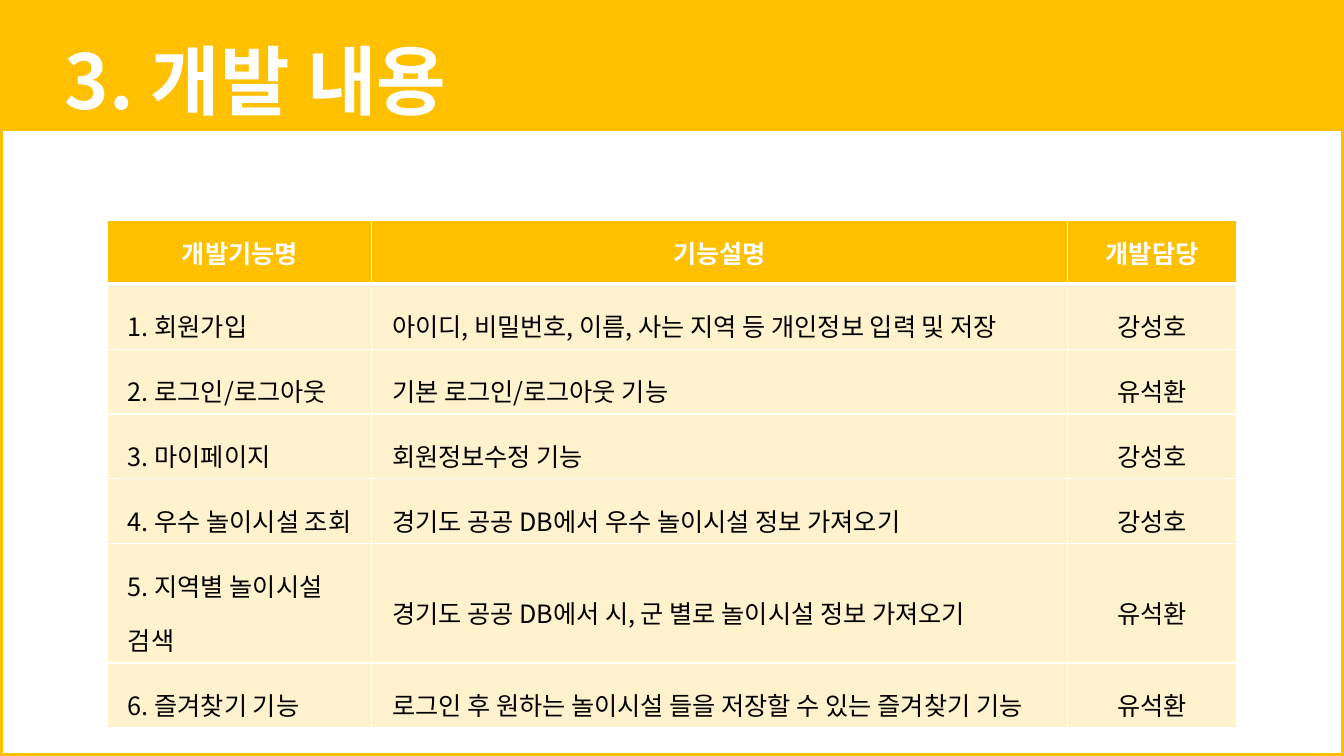
from pptx import Presentation
from pptx.dml.color import RGBColor
from pptx.enum.shapes import MSO_SHAPE
from pptx.enum.text import MSO_ANCHOR, MSO_AUTO_SIZE, PP_ALIGN
from pptx.oxml import parse_xml
from pptx.oxml.ns import nsdecls
from pptx.util import Pt

FONT = "Noto Sans CJK KR"
AMBER, CREAM, WHITE, BLACK = "FFC000", "FFF2CC", "FFFFFF", "000000"
WIDTH, HEIGHT = 960, 540
COLUMNS = [188.64, 496.8, 120.96]
ROW_HEIGHT = 45.4

FEATURES = [
    ("개발기능명", "기능설명", "개발담당"),
    ("1. 회원가입", "아이디, 비밀번호, 이름, 사는 지역 등 개인정보 입력 및 저장", "강성호"),
    ("2. 로그인/로그아웃", "기본 로그인/로그아웃 기능", "유석환"),
    ("3. 마이페이지", "회원정보수정 기능", "강성호"),
    ("4. 우수 놀이시설 조회", "경기도 공공 DB에서 우수 놀이시설 정보 가져오기", "강성호"),
    ("5. 지역별 놀이시설 검색", "경기도 공공 DB에서 시, 군 별로 놀이시설 정보 가져오기", "유석환"),
    ("6. 즐겨찾기 기능", "로그인 후 원하는 놀이시설 들을 저장할 수 있는 즐겨찾기 기능", "유석환"),
]


def color(value):
    return RGBColor.from_string(value)


def apply(target, formats):
    for name, value in formats.items():
        setattr(target, name, value)


def write(paragraph, text, size, ink, bold, **formats):
    apply(paragraph, formats)
    run = paragraph.add_run()
    run.text = text
    apply(run.font, {"name": FONT, "size": Pt(size), "bold": bold})
    run.font.color.rgb = color(ink)
    # Korean glyphs take the East Asian typeface
    run.font._element.append(parse_xml(f'<a:ea {nsdecls("a")} typeface="{FONT}"/>'))


def add_rectangle(slide, left, top, width, height):
    rectangle = slide.shapes.add_shape(
        MSO_SHAPE.RECTANGLE, Pt(left), Pt(top), Pt(width), Pt(height))
    rectangle.shadow.inherit = False
    return rectangle


def add_frame(slide, left, top, width, height):
    frame = add_rectangle(slide, left, top, width, height)
    frame.fill.background()
    frame.line.color.rgb = color(AMBER)
    frame.line.width = Pt(4.5)


def add_heading(slide, left, top, width, height):
    band = add_rectangle(slide, left, top, width, height)
    band.fill.solid()
    band.fill.fore_color.rgb = color(AMBER)
    band.line.fill.background()

    # Title in front of the band
    title = slide.shapes.title
    apply(title, {"left": Pt(left + 38.9), "top": Pt(top + 20.9),
                  "width": Pt(781.2), "height": Pt(72.7)})
    apply(title.text_frame, {"word_wrap": True, "vertical_anchor": MSO_ANCHOR.TOP,
                             "auto_size": MSO_AUTO_SIZE.SHAPE_TO_FIT_TEXT})
    write(title.text_frame.paragraphs[0], "3. 개발 내용", 54, WHITE, True,
          alignment=PP_ALIGN.LEFT, line_spacing=1.0)
    band.element.addnext(title.element)


def set_borders(cell, bottom_width):
    properties = cell._tc.get_or_add_tcPr()
    widths = {"lnL": 1, "lnR": 1, "lnT": 1, "lnB": bottom_width}
    for position, (side, width) in enumerate(widths.items()):
        properties.insert(position, parse_xml(
            f'<a:{side} {nsdecls("a")} w="{Pt(width)}"><a:solidFill>'
            f'<a:srgbClr val="{WHITE}"/></a:solidFill></a:{side}>'))


def add_features(slide, left, top):
    table = slide.shapes.add_table(
        len(FEATURES), len(COLUMNS), Pt(left), Pt(top),
        Pt(sum(COLUMNS)), Pt(ROW_HEIGHT * len(FEATURES))).table
    for column, width in zip(table.columns, COLUMNS):
        column.width = Pt(width)
    for row_index, feature in enumerate(FEATURES):
        header = row_index == 0
        table.rows[row_index].height = Pt(ROW_HEIGHT)
        for column_index, text in enumerate(feature):
            cell = table.cell(row_index, column_index)
            centered = header or column_index == 2
            cell.vertical_anchor = MSO_ANCHOR.MIDDLE
            if not centered:
                cell.margin_left = Pt(14.4)
            cell.fill.solid()
            cell.fill.fore_color.rgb = color(AMBER if header else CREAM)
            set_borders(cell, 3 if header else 1)
            write(cell.text_frame.paragraphs[0], text, 18,
                  WHITE if header else BLACK, header,
                  alignment=PP_ALIGN.CENTER if centered else PP_ALIGN.LEFT,
                  line_spacing=1.0 if header else 1.5)


def main():
    deck = Presentation()
    apply(deck, {"slide_width": Pt(WIDTH), "slide_height": Pt(HEIGHT)})
    slide = deck.slides.add_slide(deck.slide_layouts[5])
    add_frame(slide, 0, 0, WIDTH, HEIGHT)
    add_features(slide, 77, 157.7)
    add_heading(slide, 0, 0, WIDTH, 93.6)
    deck.save("out.pptx")


if __name__ == "__main__":
    main()
